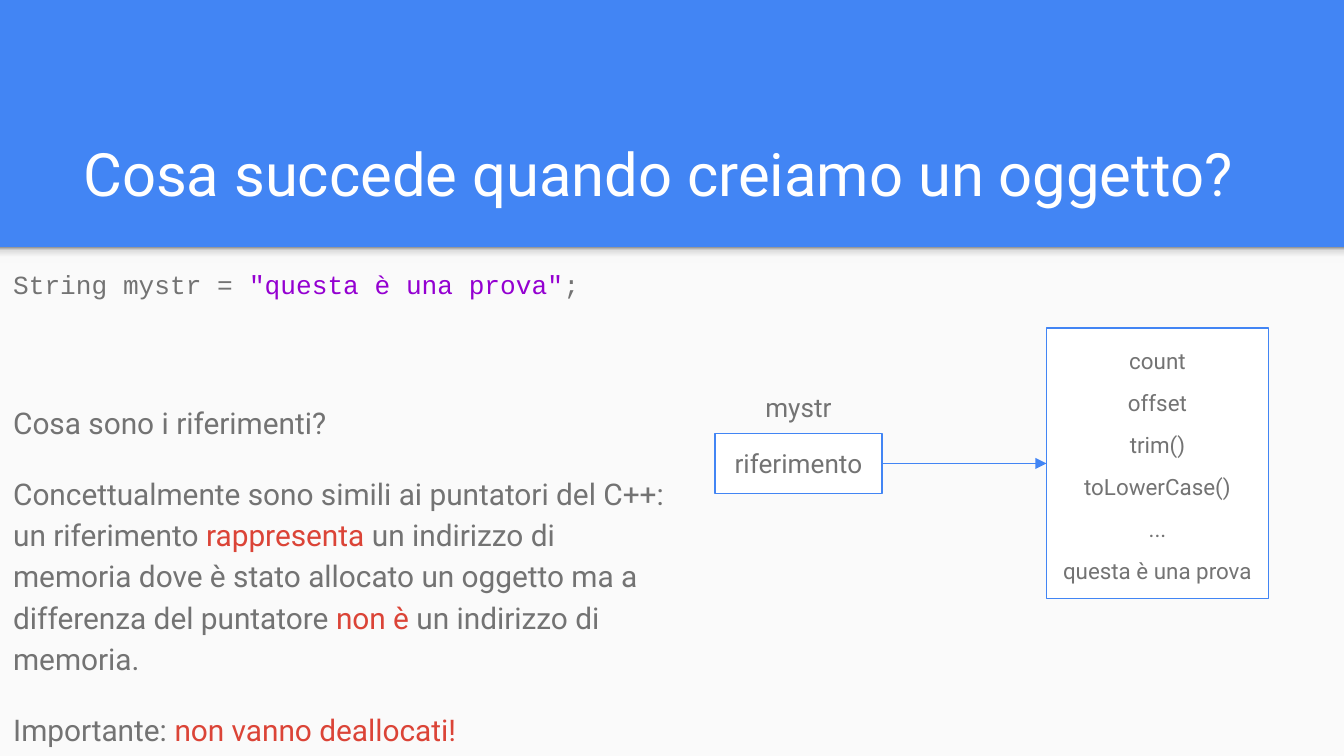
from copy import deepcopy
from dataclasses import dataclass
from typing import NamedTuple

from lxml import etree
from pptx import Presentation
from pptx.dml.color import RGBColor
from pptx.enum.shapes import MSO_CONNECTOR, MSO_SHAPE
from pptx.enum.text import MSO_ANCHOR, MSO_AUTO_SIZE, PP_ALIGN
from pptx.oxml.ns import qn
from pptx.util import Pt


@dataclass(frozen=True)
class Theme:
    blue: str = "4285F4"
    paper: str = "FAFAFA"
    white: str = "FFFFFF"
    grey: str = "737373"
    red: str = "DB4437"
    violet: str = "9400D1"
    shade: tuple = ((0, "F9F9F9"), (36, "F9F9F9"), (80, "DEDEDE"), (100, "999999"))
    sans: str = "Roboto"
    mono: str = "Courier New"
    title_size: float = 32
    body_size: float = 16
    label_size: float = 14
    member_size: float = 12
    line_width: float = 0.75
    inset: float = 7.2
    leading: float = 1.15


class Box(NamedTuple):
    left: float
    top: float
    width: float
    height: float

    @property
    def right(self):
        return self.left + self.width

    @property
    def middle(self):
        return self.top + self.height / 2

    def points(self):
        return [Pt(length) for length in self]


THEME = Theme()
PAGE = Box(0, 0, 720, 405)
HEADER_HEIGHT = 132.5


def rgb(color):
    return RGBColor.from_string(color)


def prepare_frame(shape, anchor):
    frame = shape.text_frame
    frame.word_wrap = True
    frame.vertical_anchor = anchor
    frame.margin_left = frame.margin_right = Pt(THEME.inset)
    frame.margin_top = frame.margin_bottom = Pt(THEME.inset)
    return frame


def add_text_area(slide, box, anchor=MSO_ANCHOR.TOP):
    return prepare_frame(slide.shapes.add_textbox(*box.points()), anchor)


def add_rectangle(slide, box, fill, line=None):
    rectangle = slide.shapes.add_shape(MSO_SHAPE.RECTANGLE, *box.points())
    rectangle.shadow.inherit = False
    rectangle.fill.solid()
    rectangle.fill.fore_color.rgb = rgb(fill)
    if line:
        rectangle.line.color.rgb = rgb(line)
        rectangle.line.width = Pt(THEME.line_width)
    else:
        rectangle.line.fill.background()
    return rectangle


def write(paragraph, pieces, size, font=THEME.sans):
    """Fill a paragraph with (text, colour) pieces."""
    for text, color in pieces:
        run = paragraph.add_run()
        run.text = text
        run.font.size = Pt(size)
        run.font.name = font
        run.font.color.rgb = rgb(color)


def write_centred(frame, lines, size, leading=None, gap=0):
    for index, line in enumerate(lines):
        paragraph = frame.add_paragraph() if index else frame.paragraphs[0]
        paragraph.alignment = PP_ALIGN.CENTER
        paragraph.line_spacing = leading
        paragraph.space_before = Pt(gap if index else 0)
        write(paragraph, [(line, THEME.grey)], size)
    return paragraph


def add_backdrop(slide, box):
    """Blue header, pale page below it and a soft shade where they meet."""
    slide.background.fill.solid()
    slide.background.fill.fore_color.rgb = rgb(THEME.blue)
    add_rectangle(slide, box, THEME.paper)

    shade = add_rectangle(slide, box._replace(height=8.6), THEME.paper)
    shade.fill.gradient()
    shade.fill.gradient_angle = 90
    stops = shade.element.spPr.find(qn("a:gradFill")).find(qn("a:gsLst"))
    blank_stop = deepcopy(stops[0])
    for child in list(blank_stop):
        blank_stop.remove(child)
    for stop in list(stops):
        stops.remove(stop)
    for position, color in THEME.shade:
        stop = deepcopy(blank_stop)
        stop.set("pos", str(position * 1000))
        etree.SubElement(stop, qn("a:srgbClr")).set("val", color)
        stops.append(stop)


def add_title(slide, box):
    frame = add_text_area(slide, box, MSO_ANCHOR.BOTTOM)
    heading = [("Cosa succede quando creiamo un oggetto?", THEME.white)]
    write(frame.paragraphs[0], heading, THEME.title_size)


def add_explanation(slide, box):
    """Code line, then the paragraphs on references."""
    grey, red = THEME.grey, THEME.red
    frame = add_text_area(slide, box)
    code = frame.paragraphs[0]
    code.line_spacing = THEME.leading
    write(code, [("String mystr = ", grey), ('"questa è una prova"', THEME.violet),
                 (";", grey)], THEME.label_size, THEME.mono)

    paragraphs = [
        (53.5, [("Cosa sono i riferimenti?", grey)]),
        (16, [("Concettualmente sono simili ai puntatori del C++: un riferimento ", grey),
              ("rappresenta", red),
              (" un indirizzo di memoria dove è stato allocato un oggetto ma a "
               "differenza del puntatore ", grey),
              ("non è", red),
              (" un indirizzo di memoria.", grey)]),
        (16, [("Importante: ", grey), ("non vanno deallocati!", red)]),
    ]
    for gap, pieces in paragraphs:
        paragraph = frame.add_paragraph()
        paragraph.line_spacing = THEME.leading
        paragraph.space_before = Pt(gap)
        write(paragraph, pieces, THEME.body_size)


def add_arrow(slide, start, end, y):
    arrow = slide.shapes.add_connector(
        MSO_CONNECTOR.STRAIGHT, Pt(start), Pt(y), Pt(end), Pt(y))
    arrow.line.color.rgb = rgb(THEME.blue)
    arrow.line.width = Pt(THEME.line_width)
    outline = arrow.line._get_or_add_ln()
    etree.SubElement(outline, qn("a:tailEnd")).set("type", "triangle")
    etree.SubElement(arrow.element.spPr, qn("a:effectLst"))


def add_reference_diagram(slide, box):
    """Named reference on the left, pointing at the object on the right."""
    reference = Box(box.left, box.middle - 16, 89.5, 32)
    target = Box(box.right - 119, box.top, 119, box.height)

    reference_shape = add_rectangle(slide, reference, THEME.white, THEME.blue)
    write_centred(prepare_frame(reference_shape, MSO_ANCHOR.MIDDLE),
                  ["riferimento"], THEME.label_size)

    members = ["count", "offset", "trim()", "toLowerCase()", "...", "questa è una prova"]
    target_shape = add_rectangle(slide, target, THEME.white, THEME.blue)
    last = write_centred(prepare_frame(target_shape, MSO_ANCHOR.MIDDLE),
                         members, THEME.member_size, THEME.leading, gap=6)
    last.space_after = Pt(6)

    add_arrow(slide, reference.right, target.left, box.middle)

    name = add_text_area(slide, reference._replace(top=reference.top - 29.7))
    name.auto_size = MSO_AUTO_SIZE.SHAPE_TO_FIT_TEXT
    write_centred(name, ["mystr"], THEME.label_size)


def main():
    deck = Presentation()
    deck.slide_width, deck.slide_height = Pt(PAGE.width), Pt(PAGE.height)
    slide = deck.slides.add_slide(deck.slide_layouts[6])
    add_backdrop(slide, Box(0, HEADER_HEIGHT, PAGE.width, PAGE.height - HEADER_HEIGHT))
    add_title(slide, Box(37.5, 58.3, 647.3, 60.5))
    add_explanation(slide, Box(0, 134, 369.4, 271))
    add_reference_diagram(slide, Box(383, 175.8, 296.6, 145))
    deck.save("out.pptx")


if __name__ == "__main__":
    main()
